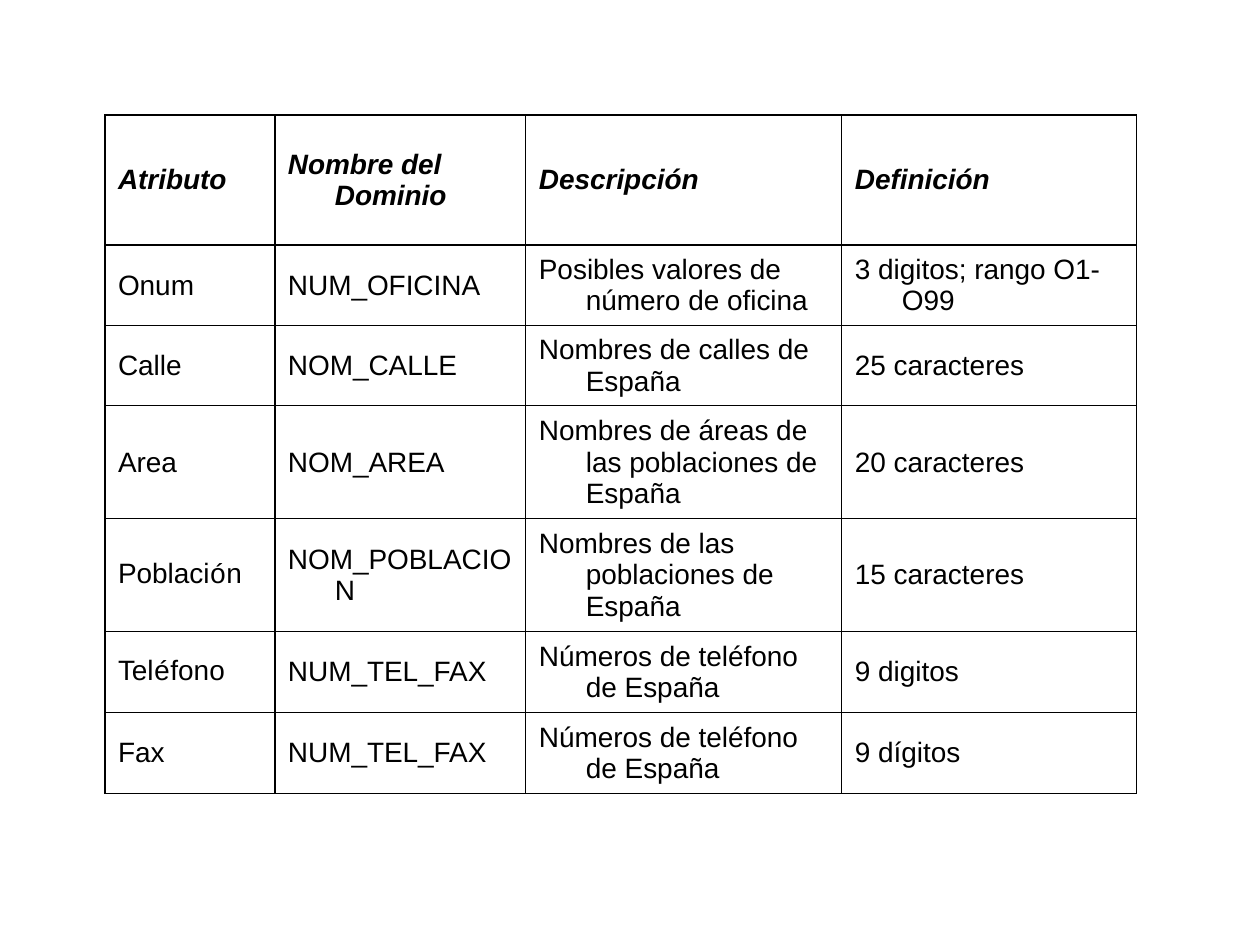
from dataclasses import dataclass

from lxml.etree import SubElement
from pptx import Presentation
from pptx.dml.color import RGBColor
from pptx.enum.text import MSO_ANCHOR
from pptx.oxml.ns import qn
from pptx.table import _Cell as Cell
from pptx.util import Pt

SCALE = 914400 / 126
COLORS = {"ink": "000000"}
ACCENT_FONT = "Courier New"
INDENT = 47
MARGINS = {"margin_left": 13, "margin_right": 13, "margin_top": 6, "margin_bottom": 6}
BODY = {"name": "Arial", "size": Pt(16), "bold": False, "italic": False}
HEADER = {**BODY, "bold": True, "italic": True}
COL_WIDTHS = (170, 251, 316, 295)
ROW_HEIGHTS = (130, 81, 80, 113, 113, 81, 81)


@dataclass(frozen=True)
class Row:
    attribute: tuple[str, ...]
    domain: str
    description: str
    definition: str

    def cells(self) -> list[tuple[str, ...]]:
        return [self.attribute, (self.domain,), (self.description,), (self.definition,)]


ROWS = (
    Row(("Atributo",), "Nombre del Dominio", "Descripción", "Definición"),
    Row(("Onum",), "NUM_OFICINA", "Posibles valores de número de oficina",
        "3 digitos; rango O1-O99"),
    Row(("Calle",), "NOM_CALLE", "Nombres de calles de España", "25 caracteres"),
    Row(("Area",), "NOM_AREA", "Nombres de áreas de las poblaciones de España",
        "20 caracteres"),
    Row(("Poblaci", "ó", "n"), "NOM_POBLACION",
        "Nombres de las poblaciones de España", "15 caracteres"),
    Row(("Tel", "é", "fono"), "NUM_TEL_FAX", "Números de teléfono de España",
        "9 digitos"),
    Row(("Fax",), "NUM_TEL_FAX", "Números de teléfono de España", "9 dígitos"),
)


def px(n: int) -> int:
    return round(n * SCALE)


def set_borders(cell: Cell) -> None:
    pr = cell._tc.get_or_add_tcPr()
    for i, side in enumerate(("lnL", "lnR", "lnT", "lnB")):
        ln = pr.makeelement(qn(f"a:{side}"), {"w": str(Pt(0.75))})
        fill = SubElement(ln, qn("a:solidFill"))
        SubElement(fill, qn("a:srgbClr"), val=COLORS["ink"])
        pr.insert(i, ln)


def fill_cell(cell: Cell, parts: tuple[str, ...], fmt: dict) -> None:
    cell.fill.background()
    cell.vertical_anchor = MSO_ANCHOR.MIDDLE
    for name, value in MARGINS.items():
        setattr(cell, name, px(value))
    set_borders(cell)
    p = cell.text_frame.paragraphs[0]
    ppr = p._p.get_or_add_pPr()
    ppr.set("marL", str(px(INDENT)))
    ppr.set("indent", str(-px(INDENT)))
    for i, part in enumerate(parts):
        r = p.add_run()
        r.text = part
        for name, value in fmt.items():
            setattr(r.font, name, value)
        if i == 1:
            r.font.name = ACCENT_FONT
        r.font.color.rgb = RGBColor.from_string(COLORS["ink"])


def main() -> None:
    prs = Presentation()
    prs.slide_width, prs.slide_height = px(1260), px(945)
    s = prs.slides.add_slide(prs.slide_layouts[6])
    table = s.shapes.add_table(
        len(ROWS), len(COL_WIDTHS), px(105), px(115),
        px(sum(COL_WIDTHS)), px(sum(ROW_HEIGHTS))).table
    table.first_row = table.horz_banding = False
    for col, width in zip(table.columns, COL_WIDTHS):
        col.width = px(width)
    for i, (row, height) in enumerate(zip(ROWS, ROW_HEIGHTS)):
        table.rows[i].height = px(height)
        for j, parts in enumerate(row.cells()):
            fill_cell(table.cell(i, j), parts, BODY if i else HEADER)
    prs.save("out.pptx")


if __name__ == "__main__":
    main()
